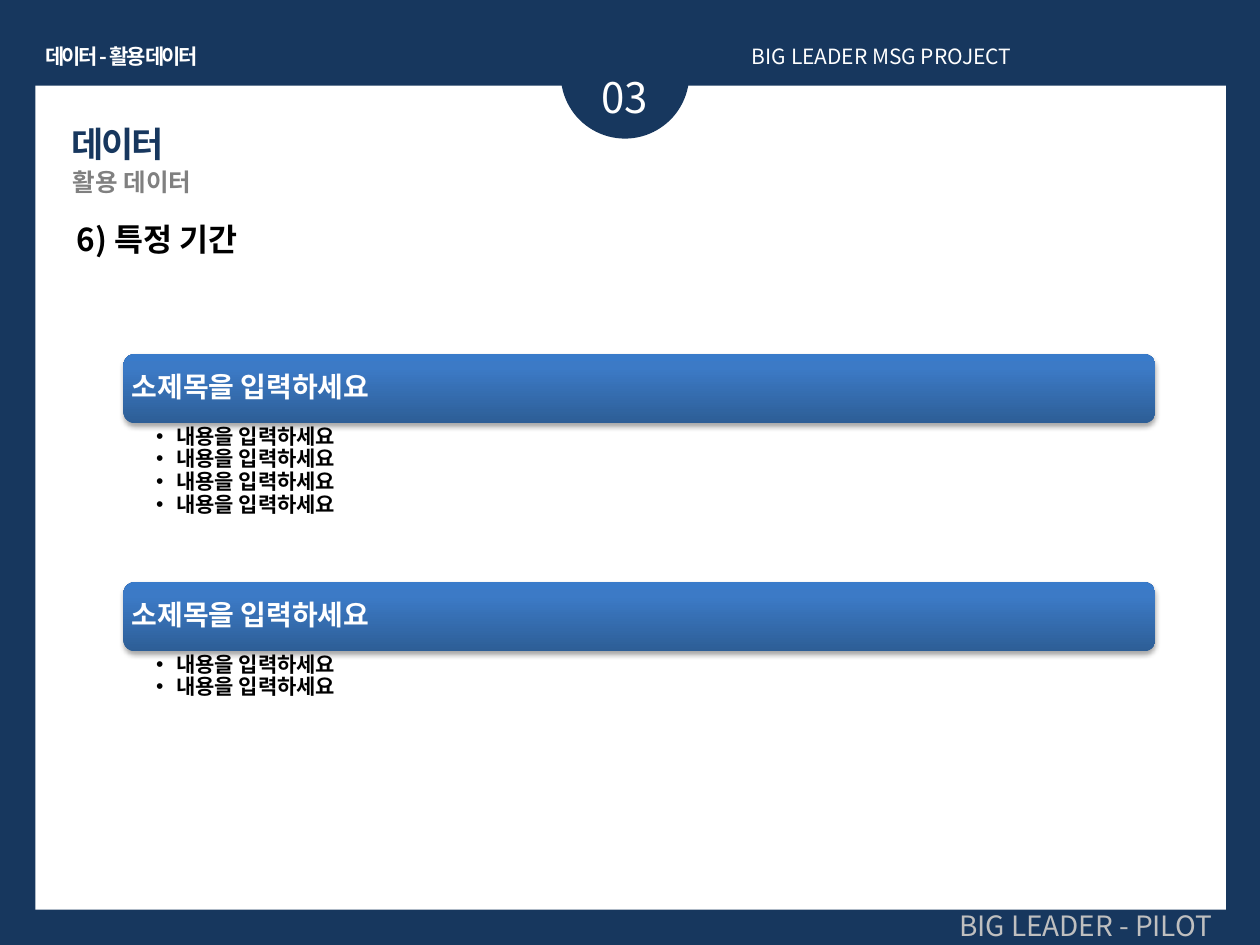
import dataclasses
import typing

import lxml.etree
import pptx
import pptx.dml.color
import pptx.enum.shapes
import pptx.enum.text
import pptx.oxml
import pptx.oxml.ns
import pptx.util

Inches = pptx.util.Inches
Align = pptx.enum.text.PP_ALIGN
Kind = pptx.enum.shapes.MSO_SHAPE
qn = pptx.oxml.ns.qn

SANS = "Noto Sans CJK KR"
NAVY, WHITE, BLACK = "17375E", "FFFFFF", "000000"
NS = 'xmlns:a="http://schemas.openxmlformats.org/drawingml/2006/main"'
SHADE = (
    f'<a:effectLst {NS}><a:outerShdw blurRad="39370" dist="22860" dir="5400000" '
    'rotWithShape="0"><a:srgbClr val="000000"><a:alpha val="35000"/></a:srgbClr>'
    "</a:outerShdw></a:effectLst>"
)
STOPS = [(0, "2D5E96"), (80, "3C7AC6"), (100, "397BCA")]


@dataclasses.dataclass
class Label:
    text: str
    box: tuple[float, float, float, float]
    size: float
    color: str
    bold: bool = False
    align: typing.Any = Align.LEFT
    font: str = SANS
    track: float = 0
    wrap: bool = True


@dataclasses.dataclass
class Group:
    top: float
    title: str
    items: list[str]


def paint(target, color: str) -> None:
    if hasattr(target, "solid"):
        target.solid()
        target = target.fore_color
    target.rgb = pptx.dml.color.RGBColor.from_string(color)


def style(para, size: float, color: str, bold: bool, font: str = SANS,
          track: float = 0) -> None:
    for run in para.runs:
        run.font.size = pptx.util.Pt(size)
        run.font.bold = bold
        run.font.name = font
        paint(run.font.color, color)
        props = run.font._element
        lxml.etree.SubElement(props, qn("a:ea")).set("typeface", font)
        if track:
            props.set("spc", str(round(track * 100)))


def inset(frame, left: float, top: float, right: float, bottom: float) -> None:
    frame.margin_left, frame.margin_top = Inches(left), Inches(top)
    frame.margin_right, frame.margin_bottom = Inches(right), Inches(bottom)


def add_shape(slide, kind, box: tuple, color: str):
    shape = slide.shapes.add_shape(kind, *map(Inches, box))
    shape.shadow.inherit = False
    paint(shape.fill, color)
    shape.line.fill.background()
    return shape


def add_label(slide, label: Label) -> None:
    frame = slide.shapes.add_textbox(*map(Inches, label.box)).text_frame
    frame.word_wrap = label.wrap
    frame.auto_size = pptx.enum.text.MSO_AUTO_SIZE.SHAPE_TO_FIT_TEXT
    frame.text = label.text
    para = frame.paragraphs[0]
    para.alignment = label.align
    style(para, label.size, label.color, label.bold, label.font, label.track)


def add_bar(slide, title: str, box: tuple) -> None:
    bar = add_shape(slide, Kind.ROUNDED_RECTANGLE, box, NAVY)
    # Gradient runs from the bottom edge up
    props = bar._element.spPr
    stops = "".join(
        f'<a:gs pos="{pos * 1000}"><a:srgbClr val="{color}"/></a:gs>'
        for pos, color in STOPS
    )
    grad = pptx.oxml.parse_xml(
        f'<a:gradFill {NS} rotWithShape="1"><a:gsLst>{stops}</a:gsLst>'
        '<a:lin ang="16200000" scaled="0"/></a:gradFill>'
    )
    props.replace(props.find(qn("a:solidFill")), grad)
    props.replace(props.find(qn("a:effectLst")), pptx.oxml.parse_xml(SHADE))
    frame = bar.text_frame
    inset(frame, 0.04, 0.04, 0.04, 0.04)
    frame.vertical_anchor = pptx.enum.text.MSO_ANCHOR.MIDDLE
    frame.text = title
    para = frame.paragraphs[0]
    para.alignment = Align.LEFT
    para.line_spacing = 0.9
    style(para, 16, WHITE, True)


def add_list(slide, items: list[str], box: tuple) -> None:
    frame = slide.shapes.add_textbox(*map(Inches, box)).text_frame
    frame.word_wrap = True
    inset(frame, 0.26, 0.02, 0.12, 0.02)
    frame.text = "\n".join(items)
    for para in frame.paragraphs:
        para.level = 1
        para.line_spacing = 0.9
        style(para, 12, BLACK, True)
        props = para._p.get_or_add_pPr()
        props.set("marL", str(Inches(0.12)))
        props.set("indent", str(-Inches(0.12)))
        lxml.etree.SubElement(props, qn("a:buFont")).set("typeface", "Arial")
        lxml.etree.SubElement(props, qn("a:buChar")).set("char", "•")


LABELS = [
    Label("03", (4.37, 0.52, 1.18, 0.5), 24, WHITE, align=Align.CENTER),
    Label("6) 특정 기간", (0.51, 1.7, 8.98, 0.4), 18, BLACK, True),
    Label("데이터", (0.47, 0.92, 1.89, 0.43), 20, NAVY, True,
          font="Arial", track=-1.5),
    Label("활용 데이터", (0.48, 1.28, 3.54, 0.33), 14, "808080", True),
    Label("BIG LEADER - PILOT", (7.36, 7.16, 2.36, 0.37), 16, "BFBFBF",
          align=Align.RIGHT),
    Label("BIG LEADER MSG PROJECT", (5.87, 0.3, 3.94, 0.3), 12, WHITE,
          align=Align.JUSTIFY),
    Label("데이터 - 활용 데이터", (0.2, 0.3, 1.53, 0.3), 12, WHITE, True,
          align=Align.CENTER, track=-1.5, wrap=False),
]
HEAD, ITEM = "소제목을 입력하세요", " 내용을 입력하세요"
GROUPS = [Group(2.81, HEAD, [ITEM] * 4), Group(4.62, HEAD, [ITEM] * 2)]
LEFT, WIDTH, BAR, ROW = 0.98, 8.19, 0.55, 0.32


def main() -> None:
    deck = pptx.Presentation()
    deck.slide_width, deck.slide_height = Inches(10), Inches(7.5)
    slide = deck.slides.add_slide(deck.slide_layouts[6])

    # Frame and page badge
    paint(slide.background.fill, NAVY)
    add_shape(slide, Kind.RECTANGLE, (0.28, 0.68, 9.45, 6.54), WHITE)
    add_shape(slide, Kind.OVAL, (4.45, 0.08, 1.02, 1.02), NAVY)

    # Headings and footer
    for label in LABELS:
        add_label(slide, label)

    # Bars, each with its bullets below
    for group in GROUPS:
        add_bar(slide, group.title, (LEFT, group.top, WIDTH, BAR))
        add_list(slide, group.items,
                 (LEFT, group.top + BAR, WIDTH, ROW * len(group.items)))

    deck.save("out.pptx")


if __name__ == "__main__":
    main()
